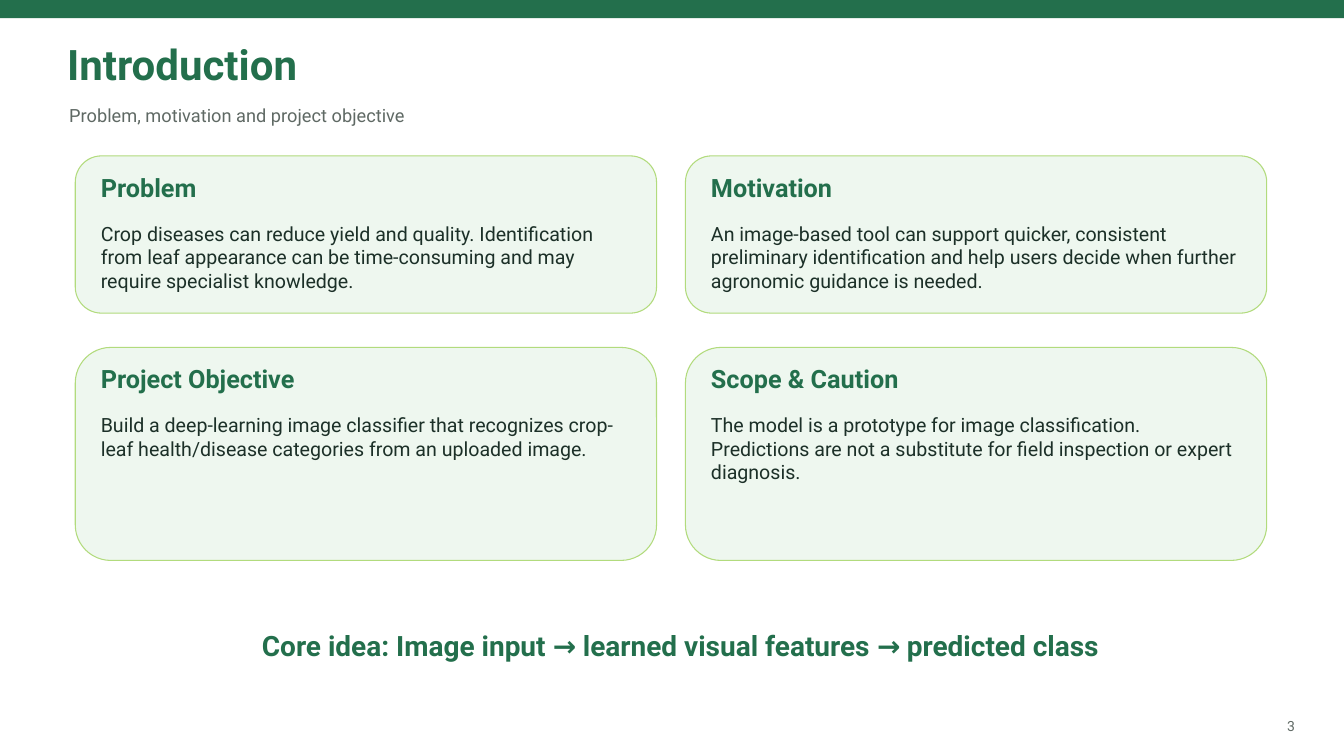
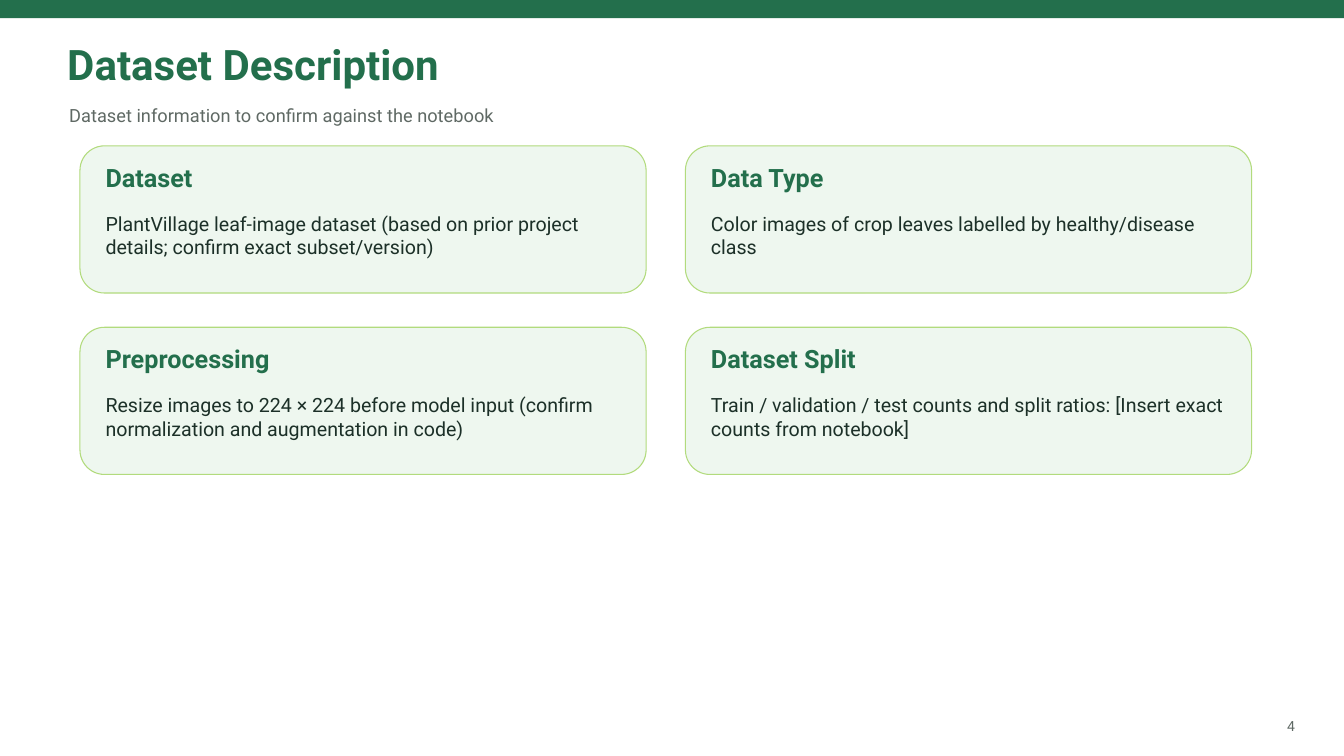
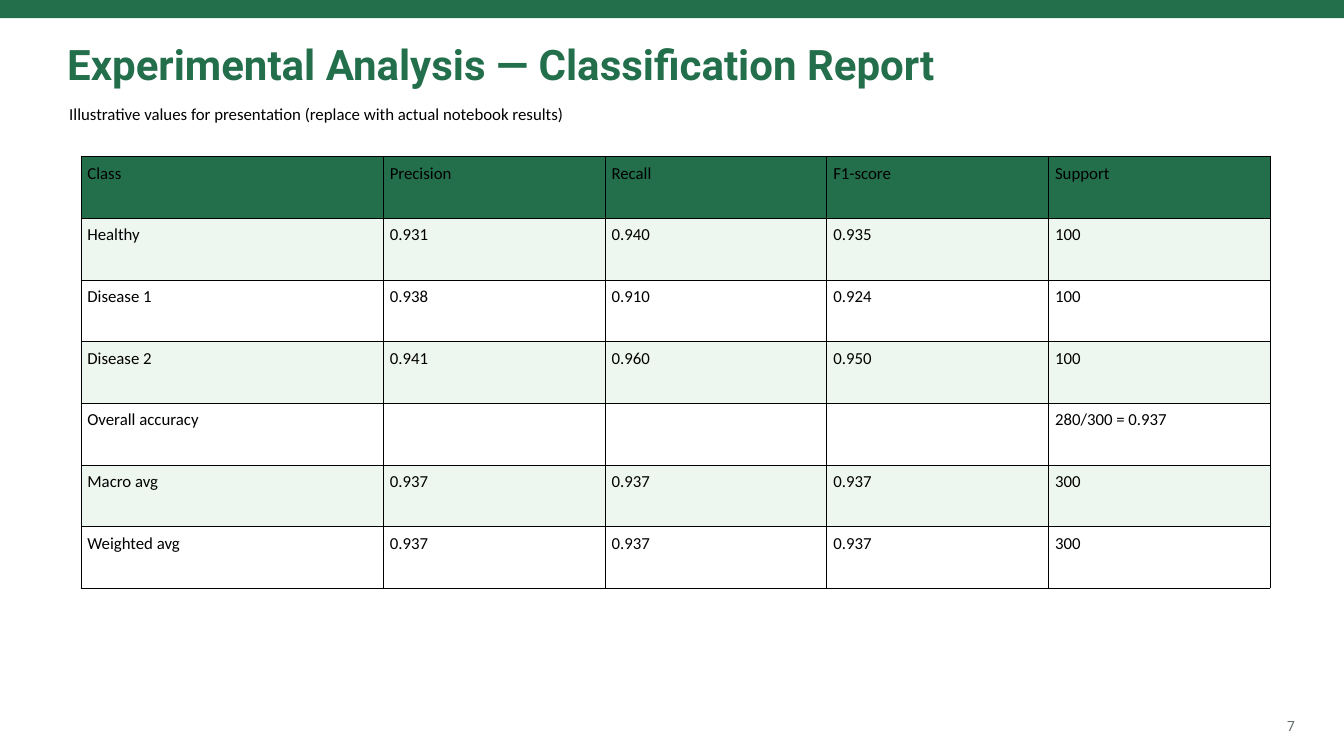
from dataclasses import dataclass
from typing import NamedTuple

from lxml.etree import SubElement
from pptx import Presentation
from pptx.dml.color import RGBColor
from pptx.enum.shapes import MSO_SHAPE as Preset
from pptx.enum.text import MSO_ANCHOR as Anchor, MSO_AUTO_SIZE as AutoSize, PP_ALIGN as Align
from pptx.oxml.ns import qn
from pptx.slide import Slide
from pptx.text.text import TextFrame
from pptx.util import Inches, Pt

COLUMNS, ROWS = 80, 45
CELL = 0.25
LEADING = 1.2


class Style(NamedTuple):
    size: float
    color: str
    bold: bool = False
    font: str = "Roboto"
    leading: float | None = LEADING


@dataclass(frozen=True)
class Theme:
    green: str = "236F4C"
    mint: str = "EEF7EF"
    lime: str = "B2DB7D"
    white: str = "FFFFFF"
    black: str = "000000"
    card_line: float = 1.13
    table_line: float = 0.37
    title: Style = Style(45, "236F4C", True)
    subtitle: Style = Style(19.5, "5F6964")
    number: Style = Style(15, "5F6964")
    heading: Style = Style(27, "236F4C", True)
    body: Style = Style(21, "1C3028")
    core_idea: Style = Style(30, "236F4C", True)
    plain: Style = Style(18, "000000", font="Calibri", leading=None)


class Area(NamedTuple):
    left: float
    top: float
    width: float
    height: float

    def lengths(self) -> list[int]:
        return [grid(cells) for cells in self]


class Card(NamedTuple):
    heading: str
    body: str


class CardGrid(NamedTuple):
    left: float
    top: float
    width: float
    heights: tuple[float, float]
    cards: list[Card]


THEME = Theme()
BAND = Area(0, 0, COLUMNS, 1.08)
TITLE = Area(4, 2.32, 71.84, 3.52)
SUBTITLE = Area(4.12, 6.2, 71.24, 1.88)
NUMBER = Area(75.16, 42.72, 1.92, 1.12)
CORE_IDEA = Area(5.8, 37.44, 69.44, 2.92)
RIGHT_CARD_LEFT, CARD_GAP = 40.8, 2.04
CARD_INSET, HEADING_TOP, HEADING_HEIGHT = 1.52, 0.96, 2.12
BODY_TOP, BODY_BOTTOM = 3.92, 1
TABLE_LEFT, TABLE_TOP, TABLE_ROW, TABLE_INSET = 4.8, 9.32, 3.67, 0.4
TABLE_COLUMNS = (18, 13.2, 13.2, 13.2, 13.2)

INTRODUCTION = CardGrid(4.48, 9.28, 34.6, (9.36, 12.68), [
    Card("Problem", "Crop diseases can reduce yield and quality. Identification from leaf "
         "appearance can be time-consuming and may require specialist knowledge."),
    Card("Motivation", "An image-based tool can support quicker, consistent preliminary "
         "identification and help users decide when further agronomic guidance is needed."),
    Card("Project Objective", "Build a deep-learning image classifier that recognizes "
         "crop-leaf health/disease categories from an uploaded image."),
    Card("Scope & Caution", "The model is a prototype for image classification. Predictions "
         "are not a substitute for field inspection or expert diagnosis."),
])

DATASET = CardGrid(4.76, 8.68, 33.7, (8.76, 8.76), [
    Card("Dataset", "PlantVillage leaf-image dataset (based on prior project details; "
         "confirm exact subset/version)"),
    Card("Data Type", "Color images of crop leaves labelled by healthy/disease class"),
    Card("Preprocessing", "Resize images to 224 × 224 before model input (confirm "
         "normalization and augmentation in code)"),
    Card("Dataset Split", "Train / validation / test counts and split ratios: [Insert exact "
         "counts from notebook]"),
])

REPORT = [
    ("Class", "Precision", "Recall", "F1-score", "Support"),
    ("Healthy", "0.931", "0.940", "0.935", "100"),
    ("Disease 1", "0.938", "0.910", "0.924", "100"),
    ("Disease 2", "0.941", "0.960", "0.950", "100"),
    ("Overall accuracy", "", "", "", "280/300 = 0.937"),
    ("Macro avg", "0.937", "0.937", "0.937", "300"),
    ("Weighted avg", "0.937", "0.937", "0.937", "300"),
]


def grid(cells: float) -> int:
    return Inches(cells * CELL)


def rgb(color: str) -> RGBColor:
    return RGBColor.from_string(color)


def write(frame: TextFrame, text: str, *, style: Style,
          align: Align = Align.LEFT, inset: float = 0) -> None:
    frame.word_wrap = True
    frame.auto_size = AutoSize.NONE
    frame.vertical_anchor = Anchor.TOP
    frame.margin_left = frame.margin_right = grid(inset)
    frame.margin_top = frame.margin_bottom = grid(inset)
    para = frame.paragraphs[0]
    para.alignment = align
    if style.leading:
        para.line_spacing = Pt(style.size * style.leading)
    span = para.add_run()
    span.text = text
    span.font.name = style.font
    span.font.size = Pt(style.size)
    span.font.bold = style.bold
    span.font.color.rgb = rgb(style.color)


def add_text(page: Slide, area: Area, text: str, *, style: Style,
             align: Align = Align.LEFT) -> None:
    box = page.shapes.add_textbox(*area.lengths())
    write(box.text_frame, text, style=style, align=align)


def add_panel(page: Slide, preset: Preset, area: Area, *, fill: str,
              line: str | None = None) -> None:
    panel = page.shapes.add_shape(preset, *area.lengths())
    panel.shadow.inherit = False
    panel.fill.solid()
    panel.fill.fore_color.rgb = rgb(fill)
    if line:
        panel.line.color.rgb = rgb(line)
        panel.line.width = Pt(THEME.card_line)
    else:
        panel.line.fill.background()


def add_page(deck: Presentation, title: str, subtitle: str, number: int, *,
             subtitle_style: Style = THEME.subtitle) -> Slide:
    page = deck.slides.add_slide(deck.slide_layouts.get_by_name("Title Only"))
    add_panel(page, Preset.RECTANGLE, BAND, fill=THEME.green)
    heading = page.shapes.title
    heading.left, heading.top, heading.width, heading.height = TITLE.lengths()
    write(heading.text_frame, title, style=THEME.title)
    add_text(page, SUBTITLE, subtitle, style=subtitle_style)
    add_text(page, NUMBER, str(number), style=THEME.number, align=Align.RIGHT)
    return page


def add_card(page: Slide, area: Area, card: Card) -> None:
    add_panel(page, Preset.ROUNDED_RECTANGLE, area, fill=THEME.mint, line=THEME.lime)
    left, width = area.left + CARD_INSET, area.width - 2 * CARD_INSET
    add_text(page, Area(left, area.top + HEADING_TOP, width, HEADING_HEIGHT),
             card.heading, style=THEME.heading)
    add_text(page, Area(left, area.top + BODY_TOP, width, area.height - BODY_TOP - BODY_BOTTOM),
             card.body, style=THEME.body)


def add_cards(page: Slide, layout: CardGrid) -> None:
    for index, card in enumerate(layout.cards):
        row, column = divmod(index, 2)
        left = RIGHT_CARD_LEFT if column else layout.left
        top = layout.top + row * (layout.heights[0] + CARD_GAP)
        add_card(page, Area(left, top, layout.width, layout.heights[row]), card)


def add_borders(cell) -> None:
    properties = cell._tc.get_or_add_tcPr()
    for side in ("lnL", "lnR", "lnT", "lnB"):
        line = SubElement(properties, qn(f"a:{side}"), w=str(Pt(THEME.table_line)))
        fill = SubElement(line, qn("a:solidFill"))
        SubElement(fill, qn("a:srgbClr"), val=THEME.black)


def add_report(page: Slide, rows: list[tuple[str, ...]]) -> None:
    area = Area(TABLE_LEFT, TABLE_TOP, sum(TABLE_COLUMNS), TABLE_ROW * len(rows))
    table = page.shapes.add_table(len(rows), len(TABLE_COLUMNS), *area.lengths()).table
    table.first_row = table.horz_banding = False
    for column, width in zip(table.columns, TABLE_COLUMNS):
        column.width = grid(width)
    for row_index, values in enumerate(rows):
        table.rows[row_index].height = grid(TABLE_ROW)
        stripe = THEME.mint if row_index % 2 else THEME.white
        for column_index, value in enumerate(values):
            cell = table.cell(row_index, column_index)
            add_borders(cell)
            cell.fill.solid()
            cell.fill.fore_color.rgb = rgb(stripe if row_index else THEME.green)
            cell.margin_left = cell.margin_right = grid(TABLE_INSET)
            cell.margin_top = cell.margin_bottom = grid(TABLE_INSET)
            if value:
                write(cell.text_frame, value, style=THEME.plain, inset=TABLE_INSET)


def main() -> None:
    deck = Presentation()
    deck.slide_width, deck.slide_height = grid(COLUMNS), grid(ROWS)

    page = add_page(deck, "Introduction", "Problem, motivation and project objective", 3)
    add_cards(page, INTRODUCTION)
    add_text(page, CORE_IDEA, "Core idea: Image input → learned visual features → predicted class",
             style=THEME.core_idea, align=Align.CENTER)

    page = add_page(deck, "Dataset Description",
                    "Dataset information to confirm against the notebook", 4)
    add_cards(page, DATASET)

    page = add_page(deck, "Experimental Analysis — Classification Report",
                    "Illustrative values for presentation (replace with actual notebook results)",
                    7, subtitle_style=THEME.plain)
    add_report(page, REPORT)

    deck.save("out.pptx")


if __name__ == "__main__":
    main()
